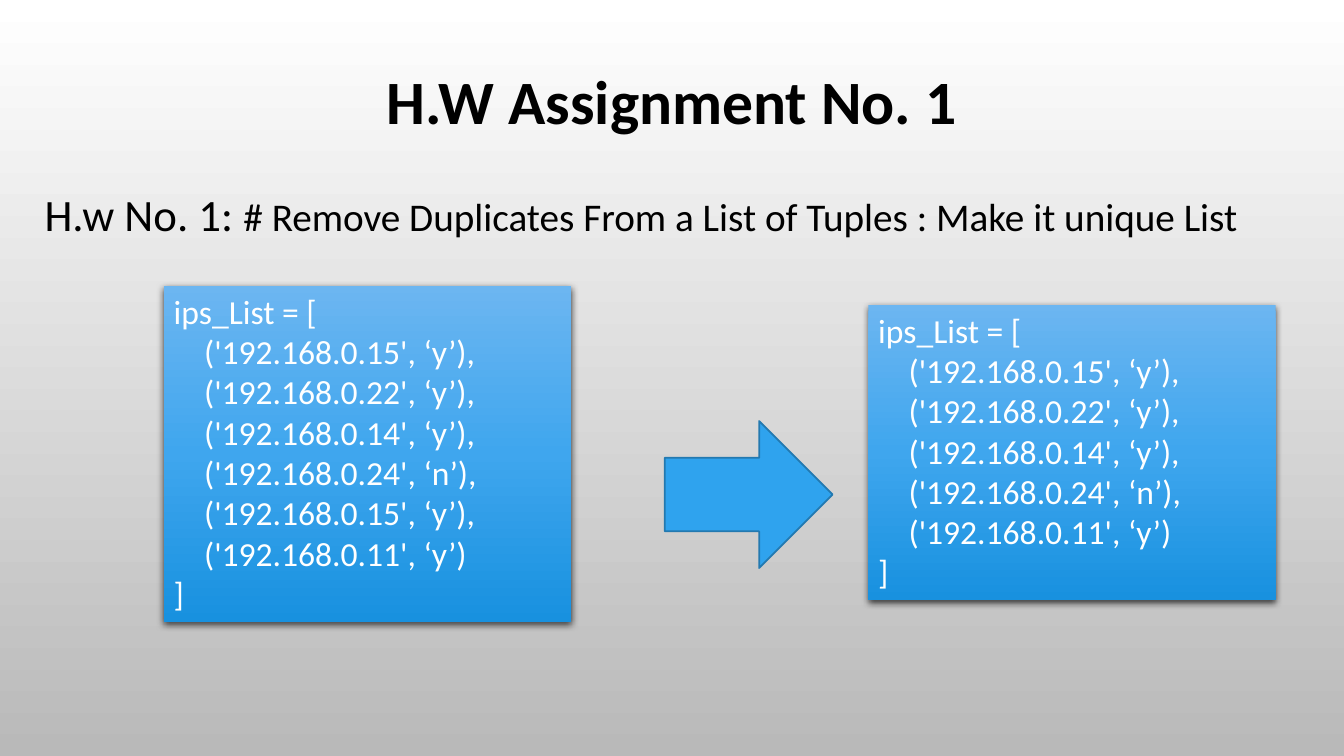
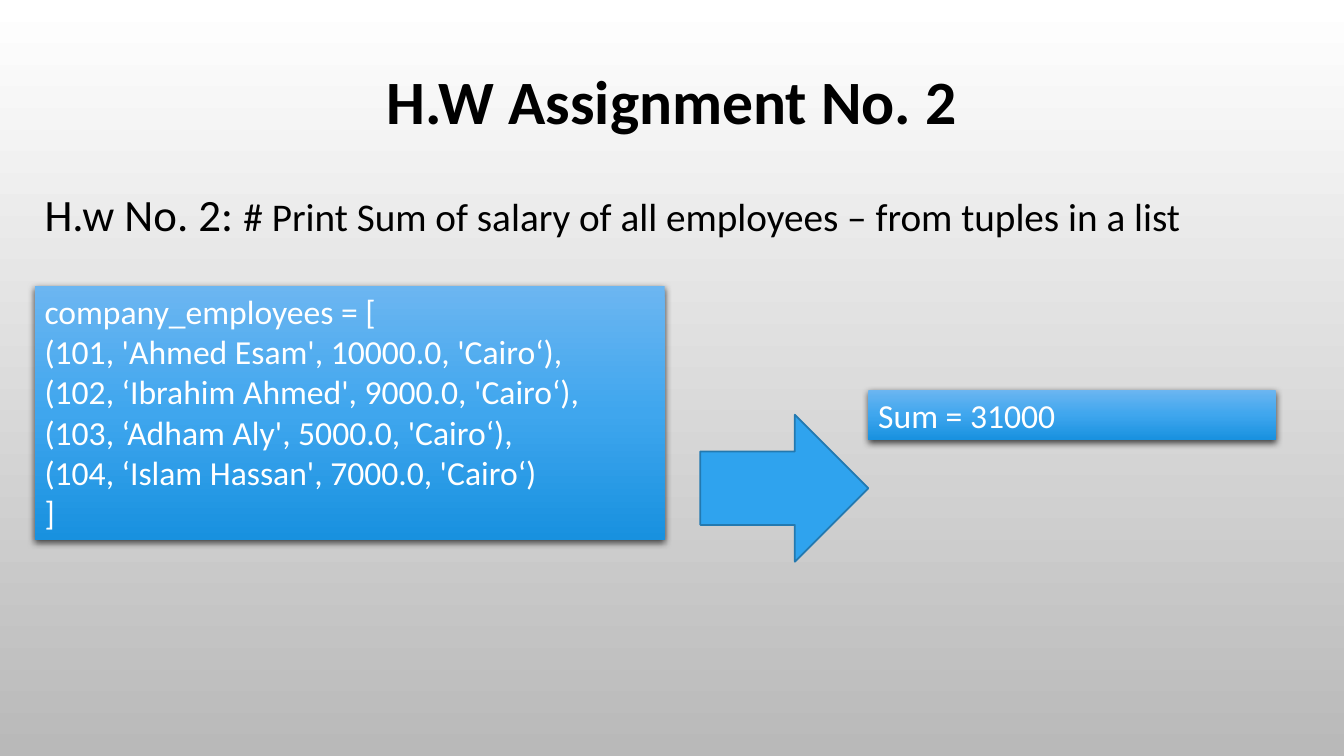
"""Build two homework slides that show an input list and its expected result."""
from dataclasses import dataclass

from lxml import etree
from pptx import Presentation, util as u
from pptx.dml.color import RGBColor
from pptx.dml.fill import FillFormat
from pptx.enum import shapes, text
from pptx.oxml.ns import qn
from pptx.shapes.autoshape import Shape
from pptx.slide import Slide

SCALE = 9525
SLIDE_WIDTH, SLIDE_HEIGHT = 1280, 720
INK, PAPER = "000000", "FFFFFF"
ARROW_FILL, ARROW_LINE = "2FA3EE", "2379B0"
BACKDROP = {0: PAPER, 100: "B9B9B9"}
BOX_GRADIENT = {0: "6CB6F1", 50: "3FA6EE", 100: "1891DF"}
MARGIN = 33
CODE_INDENT = 29
ARROW_WIDTH, ARROW_HEIGHT = 160, 140
INPUT_TOP = 272
RESULT_LEFT, RESULT_WIDTH = 827, 388

TITLE_FRAME = {"word_wrap": True, "vertical_anchor": text.MSO_ANCHOR.BOTTOM}
GROWING_FRAME = {
    "word_wrap": True,
    "vertical_anchor": text.MSO_ANCHOR.TOP,
    "auto_size": text.MSO_AUTO_SIZE.SHAPE_TO_FIT_TEXT,
}
TITLE_PARAGRAPH = {
    "alignment": text.PP_ALIGN.CENTER,
    "line_spacing": 0.8,
    "space_before": u.Pt(10),
}
LEFT_PARAGRAPH = {"alignment": text.PP_ALIGN.LEFT}


@dataclass(frozen=True)
class CodeBox:
    """A gradient box of code lines, the inner ones optionally indented."""
    left: int
    top: int
    width: int
    lines: tuple[str, ...]
    indent: int = 0

    @property
    def height(self) -> int:
        """Return the height that fits the lines."""
        return 10 + 155 * len(self.lines) // 4


@dataclass(frozen=True)
class Assignment:
    """One homework task with its input, arrow position and result."""
    number: int
    task: str
    arrow_left: int
    arrow_top: int
    given: CodeBox
    result: CodeBox


ASSIGNMENTS = (
    Assignment(
        1, "# Remove Duplicates From a List of Tuples : Make it unique List", 633, 401,
        CodeBox(156, INPUT_TOP, 388, (
            "ips_List = [",
            "('192.168.0.15', ‘y’),",
            "('192.168.0.22', ‘y’),",
            "('192.168.0.14', ‘y’),",
            "('192.168.0.24', ‘n’),",
            "('192.168.0.15', ‘y’),",
            "('192.168.0.11', ‘y’)",
            "]",
        ), CODE_INDENT),
        CodeBox(RESULT_LEFT, 290, RESULT_WIDTH, (
            "ips_List = [",
            "('192.168.0.15', ‘y’),",
            "('192.168.0.22', ‘y’),",
            "('192.168.0.14', ‘y’),",
            "('192.168.0.24', ‘n’),",
            "('192.168.0.11', ‘y’)",
            "]",
        ), CODE_INDENT),
    ),
    Assignment(
        2, "# Print Sum of salary of all employees – from tuples in a list", 667, 395,
        CodeBox(MARGIN, INPUT_TOP, 600, (
            "company_employees = [",
            "(101, 'Ahmed Esam', 10000.0, 'Cairo‘),",
            "(102, ‘Ibrahim Ahmed', 9000.0, 'Cairo‘),",
            "(103, ‘Adham Aly', 5000.0, 'Cairo‘),",
            "(104, ‘Islam Hassan', 7000.0, 'Cairo‘)",
            "]",
        )),
        CodeBox(RESULT_LEFT, 371, RESULT_WIDTH, ("Sum = 31000",)),
    ),
)


def px(*lengths: int) -> list[u.Emu]:
    """Turn pixel lengths into EMU."""
    return [u.Emu(length * SCALE) for length in lengths]


def rgb(color: str) -> RGBColor:
    """Turn a hex string into a colour."""
    return RGBColor.from_string(color)


def apply(target: object, values: dict) -> None:
    """Set every attribute named in the format values."""
    for name, value in values.items():
        setattr(target, name, value)


def add_color(parent: etree._Element, color: str) -> etree._Element:
    """Append a colour element and return it."""
    return etree.SubElement(parent, qn("a:srgbClr"), val=str(rgb(color)))


def fill_downward(fill: FillFormat, owner: etree._Element, stops: dict[int, str]) -> None:
    """Give a fill a top-to-bottom gradient with the given stops."""
    fill.gradient()
    fill.gradient_angle = 270
    stop_list = owner.find(".//" + qn("a:gsLst"))
    for stop in list(stop_list):
        stop_list.remove(stop)
    for percent, color in stops.items():
        add_color(etree.SubElement(stop_list, qn("a:gs"), pos=str(percent * 1000)), color)


def write_run(paragraph, words: str, size: int, color: str = INK, bold: bool = False):
    """Add a formatted run to a paragraph and return it."""
    run = paragraph.add_run()
    run.text = words
    apply(run.font, {"name": "Calibri", "size": u.Pt(size), "bold": bold})
    run.font.color.rgb = rgb(color)
    return run


def add_title(slide: Slide, words: str) -> None:
    """Draw the centred bold title with its thin white outline."""
    frame = slide.shapes.add_textbox(*px(88, 0, 1104, 135)).text_frame
    apply(frame, TITLE_FRAME)
    paragraph = frame.paragraphs[0]
    apply(paragraph, TITLE_PARAGRAPH)
    properties = write_run(paragraph, words, 44, bold=True).font._element
    outline = etree.Element(qn("a:ln"), w=str(u.Pt(0.75)))
    add_color(etree.SubElement(outline, qn("a:solidFill")), PAPER)
    properties.insert(0, outline)


def add_task(slide: Slide, label: str, task: str) -> None:
    """Draw the task line under the title."""
    frame = slide.shapes.add_textbox(*px(MARGIN, 173, 1214, 61)).text_frame
    apply(frame, GROWING_FRAME)
    paragraph = frame.paragraphs[0]
    write_run(paragraph, label, 32)
    write_run(paragraph, task, 28)


def add_arrow(slide: Slide, left: int, top: int) -> None:
    """Draw the arrow from the input to the result."""
    arrow = slide.shapes.add_shape(
        shapes.MSO_SHAPE.RIGHT_ARROW, *px(left, top, ARROW_WIDTH, ARROW_HEIGHT))
    arrow.shadow.inherit = False
    arrow.fill.solid()
    arrow.fill.fore_color.rgb = rgb(ARROW_FILL)
    arrow.line.color.rgb = rgb(ARROW_LINE)
    arrow.line.width = u.Pt(1.25)


def add_shadow(shape: Shape) -> None:
    """Give a shape a soft shadow below it."""
    shape.shadow.inherit = False
    effects = shape.element.spPr.find(qn("a:effectLst"))
    shadow = etree.SubElement(
        effects, qn("a:outerShdw"), blurRad=str(u.Pt(5)), dist=str(u.Pt(2)),
        dir="5400000", algn="ctr", rotWithShape="0")
    etree.SubElement(add_color(shadow, INK), qn("a:alpha"), val="69000")


def add_code(slide: Slide, box: CodeBox) -> None:
    """Draw a box of code lines."""
    panel = slide.shapes.add_shape(
        shapes.MSO_SHAPE.RECTANGLE, *px(box.left, box.top, box.width, box.height))
    fill_downward(panel.fill, panel.element, BOX_GRADIENT)
    panel.line.fill.background()
    add_shadow(panel)
    frame = panel.text_frame
    apply(frame, GROWING_FRAME)
    for index, line in enumerate(box.lines):
        paragraph = frame.add_paragraph() if index else frame.paragraphs[0]
        apply(paragraph, LEFT_PARAGRAPH)
        if box.indent and 0 < index < len(box.lines) - 1:
            paragraph._p.get_or_add_pPr().set("marL", str(box.indent * SCALE))
        write_run(paragraph, line, 24, PAPER)


def main() -> None:
    """Build and save the presentation."""
    deck = Presentation()
    deck.slide_width, deck.slide_height = px(SLIDE_WIDTH, SLIDE_HEIGHT)
    master = deck.slide_master
    fill_downward(master.background.fill, master.element, BACKDROP)
    for assignment in ASSIGNMENTS:
        slide = deck.slides.add_slide(deck.slide_layouts[6])
        add_title(slide, f"H.W Assignment No. {assignment.number}")
        add_task(slide, f"H.w No. {assignment.number}: ", assignment.task)
        add_arrow(slide, assignment.arrow_left, assignment.arrow_top)
        for box in (assignment.given, assignment.result):
            add_code(slide, box)
    deck.save("out.pptx")


if __name__ == "__main__":
    main()
